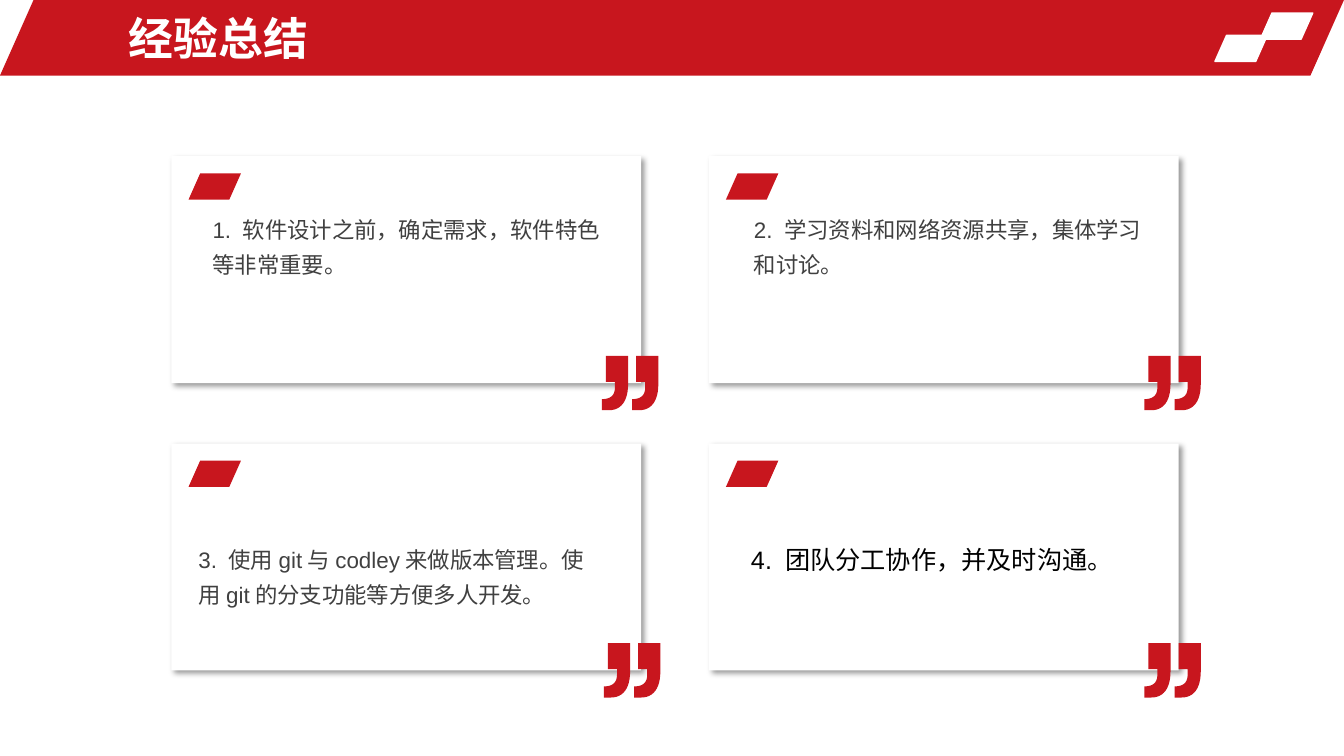
from pptx import Presentation, util as u
from pptx.dml.color import RGBColor
from pptx.enum import shapes, text
from pptx.oxml import parse_xml

RED = "C8161E"
WHITE = "FFFFFF"
GRAY = "404040"
CARD_SHADOW = """<a:effectLst xmlns:a="http://schemas.openxmlformats.org/drawingml/2006/main">
  <a:outerShdw blurRad="50800" dist="38100" dir="2700000" algn="tl" rotWithShape="0">
    <a:srgbClr val="000000"><a:alpha val="40000"/></a:srgbClr>
  </a:outerShdw>
</a:effectLst>"""


def paint(fill, color):
    fill.solid()
    fill.fore_color.rgb = RGBColor.from_string(color)


def add_text(words, left, top, width, height, *, size=16, color=GRAY, bold=False,
             spacing=1.0, anchor=text.MSO_ANCHOR.TOP, fit=text.MSO_AUTO_SIZE.NONE):
    box = slide.shapes.add_textbox(*map(u.Inches, (left, top, width, height)))
    frame = box.text_frame
    frame.word_wrap = True
    frame.auto_size = fit
    frame.vertical_anchor = anchor
    para = frame.paragraphs[0]
    para.line_spacing = spacing
    span = para.add_run()
    span.text = words
    span.font.name = "Arial"
    span.font.size = u.Pt(size)
    span.font.bold = bold
    paint(span.font.fill, color)


deck = Presentation()
deck.slide_width = u.Inches(13.33)
deck.slide_height = u.Inches(7.5)
slide = deck.slides.add_slide(deck.slide_layouts[6])

cards = [
    (1.7, 1.55, 5.97),
    (7.03, 1.55, 11.35),
    (1.7, 4.4, 5.99),
    (7.03, 4.4, 11.35),
]

for left, top, _ in cards:
    card = slide.shapes.add_shape(
        shapes.MSO_SHAPE.RECTANGLE, *map(u.Inches, (left, top, 4.66, 2.25)))
    paint(card.fill, WHITE)
    card.line.fill.background()
    card._element.spPr.append(parse_xml(CARD_SHADOW))

slants = [(0, 0, 13.33, 0.75, RED), (12.5, 0.13, 0.52, 0.26, WHITE),
          (12.05, 0.35, 0.52, 0.26, WHITE)]
slants += [(left + 0.17, top + 0.17, 0.52, 0.26, RED) for left, top, _ in cards]
for left, top, width, height, color in slants:
    slant = slide.shapes.add_shape(
        shapes.MSO_SHAPE.PARALLELOGRAM, *map(u.Inches, (left, top, width, height)))
    slant.adjustments[0] = 0.444
    slant.shadow.inherit = False
    paint(slant.fill, color)
    if color == WHITE:
        paint(slant.line.fill, WHITE)
        slant.line.width = u.Pt(1)
    else:
        slant.line.fill.background()

outer_curve = [(0.26, 0.28), (0.26, 0.45), (0.19, 0.54), (0.07, 0.54)]
inner_curve = [(0, 0.43), (0.09, 0.43), (0.13, 0.39), (0.13, 0.31)]
comma = [(0.04, 0), (0.26, 0)]
for curve in (outer_curve, inner_curve):
    if curve is inner_curve:
        comma.append((0, 0.54))
    for step in range(13):
        t = step / 12
        weights = ((1 - t) ** 3, 3 * t * (1 - t) ** 2, 3 * t ** 2 * (1 - t), t ** 3)
        comma.append(tuple(sum(w * point[axis] for w, point in zip(weights, curve))
                           for axis in (0, 1)))
comma += [(0.13, 0.26), (0.04, 0.26)]

for _, top, quote_left in cards:
    first, second = (
        [(u.Inches(quote_left + shift + x), u.Inches(top + 1.98 + y)) for x, y in comma]
        for shift in (0, 0.3))
    builder = slide.shapes.build_freeform(*first[0])
    builder.add_line_segments(first[1:], close=True)
    builder.move_to(*second[0])
    builder.add_line_segments(second[1:], close=True)
    quote = builder.convert_to_shape()
    quote.shadow.inherit = False
    paint(quote.fill, RED)
    quote.line.fill.background()

add_text("经验总结", 1.18, 0.05, 7.74, 0.65, size=32, color=WHITE, bold=True,
         anchor=text.MSO_ANCHOR.MIDDLE)
lessons = [
    ("1. 软件设计之前，确定需求，软件特色等非常重要。", 2.01, 2.02),
    ("2. 学习资料和网络资源共享，集体学习和讨论。", 7.38, 2.02),
    ("3. 使用git与codley来做版本管理。使用git的分支功能等方便多人开发。", 1.87, 5.29),
]
for words, left, top in lessons:
    add_text(words, left, top, 4.24, 0.8, spacing=1.3,
             fit=text.MSO_AUTO_SIZE.SHAPE_TO_FIT_TEXT)
add_text("4. 团队分工协作，并及时沟通。", 7.35, 5.35, 4.12, 0.4, size=18, color="000000",
         fit=text.MSO_AUTO_SIZE.SHAPE_TO_FIT_TEXT)

deck.save("out.pptx")
